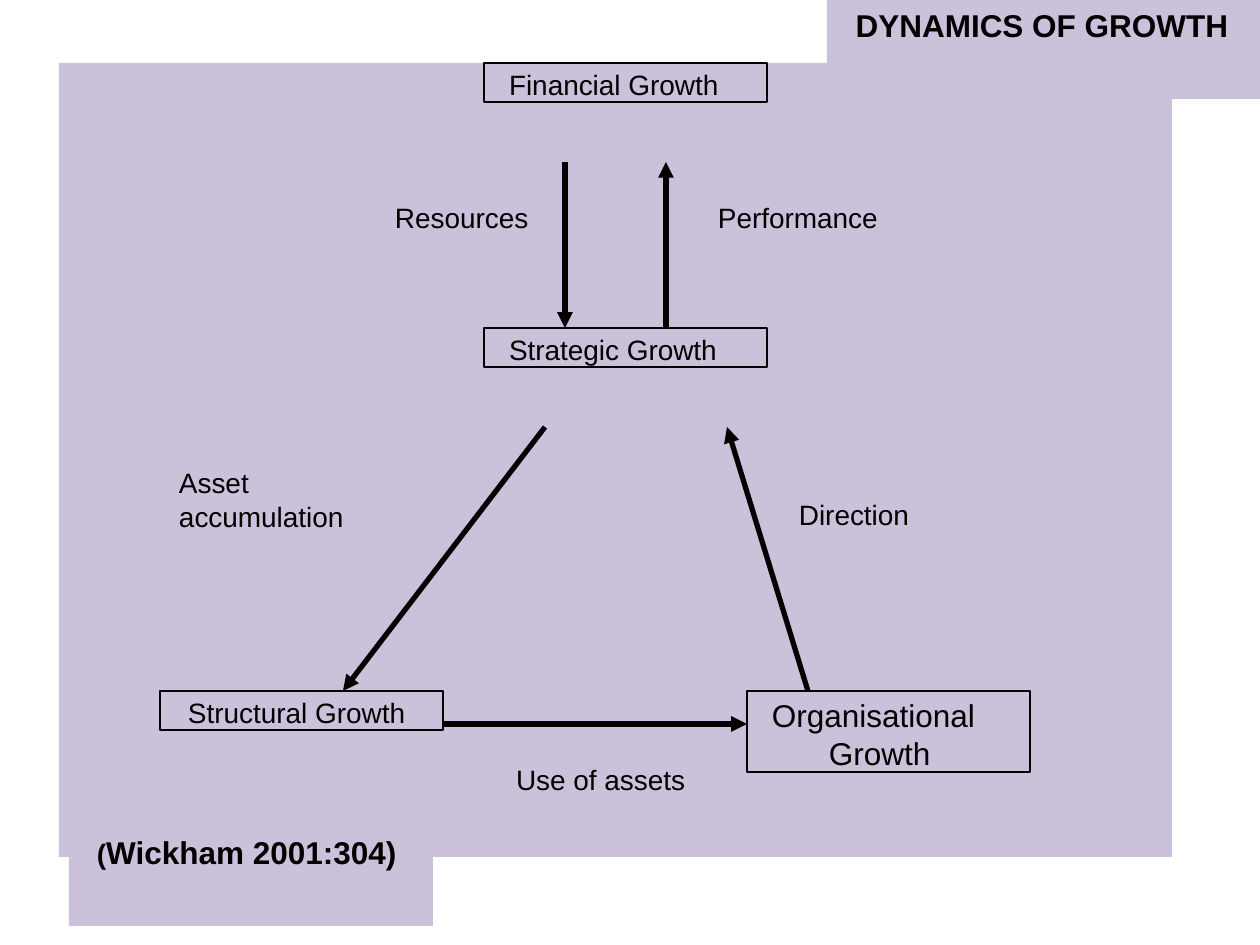
from lxml import etree
from pptx import Presentation
from pptx.dml.color import RGBColor
from pptx.enum.shapes import MSO_CONNECTOR, MSO_SHAPE
from pptx.enum.text import MSO_ANCHOR, MSO_AUTO_SIZE, PP_ALIGN
from pptx.oxml.ns import qn
from pptx.util import Pt

RECTANGLE = MSO_SHAPE.RECTANGLE
STRAIGHT = MSO_CONNECTOR.STRAIGHT
LEFT, CENTER = PP_ALIGN.LEFT, PP_ALIGN.CENTER
TOP, MIDDLE = MSO_ANCHOR.TOP, MSO_ANCHOR.MIDDLE

SCALE = 914400 // 126  # EMU per px
THEME = {
    "panel": RGBColor(0xCC, 0xC1, 0xDA),
    "ink": RGBColor(0, 0, 0),
    "font": "Arial",
    "body": Pt(16),
    "large": Pt(18),
    "border": Pt(0.75),
    "arrow": Pt(3),
}


def add_panel(shapes, area):
    panel = shapes.add_shape(RECTANGLE, *[length * SCALE for length in area])
    panel.shadow.inherit = False
    panel.fill.solid()
    panel.fill.fore_color.rgb = THEME["panel"]
    panel.line.fill.background()
    return panel


def write(box, spans, bold=False, align=LEFT, anchor=TOP, top=0, indent=(1, 0)):
    """Fill a box with one paragraph; spans are (text, size), indent is (margin, first line) in px."""
    frame = box.text_frame
    settings = {
        "word_wrap": True, "auto_size": MSO_AUTO_SIZE.NONE, "vertical_anchor": anchor,
        "margin_left": 0, "margin_right": 0, "margin_bottom": 0, "margin_top": top * SCALE,
    }
    for name, value in settings.items():
        setattr(frame, name, value)
    para = frame.paragraphs[0]
    para.alignment = align
    properties = para._p.get_or_add_pPr()
    for name, length in zip(("marL", "indent"), indent):
        properties.set(name, str(length * SCALE))
    for text, size in spans:
        span = para.add_run()
        span.text = text
        for name, value in {"name": THEME["font"], "size": size, "bold": bold}.items():
            setattr(span.font, name, value)
        span.font.color.rgb = THEME["ink"]


deck = Presentation()
deck.slide_width, deck.slide_height = 1260 * SCALE, 945 * SCALE
page = deck.slides.add_slide(deck.slide_layouts[5])
shapes = page.shapes
body, large = THEME["body"], THEME["large"]

add_panel(shapes, (59, 63, 1113, 794))

# Growth types: text, left, top, height, panel height, size, indent
growth_types = [
    ("Financial Growth", 484, 63, 39, 99, body, (25, 0)),
    ("Strategic Growth", 484, 328, 39, 99, body, (25, 0)),
    ("Structural Growth", 160, 691, 39, 99, body, (28, 0)),
    ("Organisational Growth", 747, 691, 81, 165, large, (82, -57)),
]
for text, left, top, height, panel_height, size, indent in growth_types:
    add_panel(shapes, (left, top, 283, panel_height))
    node = add_panel(shapes, (left, top, 283, height))
    node.line.color.rgb = THEME["ink"]
    node.line.width = THEME["border"]
    write(node, [(text, size)], top=5, indent=indent)

# Flows between growth types: start x, start y, end x, end y
flows = [
    (565, 162, 565, 328),
    (666, 328, 666, 162),
    (545, 427, 343, 691),
    (444, 724, 747, 724),
    (808, 691, 727, 427),
]
for ends in flows:
    arrow = shapes.add_connector(STRAIGHT, *[length * SCALE for length in ends])
    arrow.line.color.rgb = THEME["ink"]
    arrow.line.width = THEME["arrow"]
    etree.SubElement(arrow.line._get_or_add_ln(), qn("a:tailEnd"), type="triangle")
    etree.SubElement(arrow._element.spPr, qn("a:effectLst"))

# Captions: spans, bold, panel area, inset from the panel's left, text width, text height
captions = [
    ([("Performance", body)], False, (706, 195, 209, 98), 11, 164, 34),
    ([("Resources", body)], False, (383, 195, 161, 99), 11, 138, 34),
    ([("Asset accumulation", body)], False, (167, 460, 216, 165), 11, 169, 67),
    ([("Direction", body)], False, (787, 492, 162, 99), 11, 114, 34),
    ([("Use of assets", body)], False, (504, 757, 205, 99), 11, 173, 34),
    ([("(", body), ("Wickham 2001:304)", large)], True, (69, 827, 364, 99), 27, 304, 38),
]
for spans, bold, area, inset, width, height in captions:
    add_panel(shapes, area)
    place = (area[0] + inset, area[1] + 6, width, height)
    caption = shapes.add_textbox(*[length * SCALE for length in place])
    write(caption, spans, bold=bold)

add_panel(shapes, (827, 0, 433, 99))
title = shapes.title
for name, length in {"left": 853, "top": 5, "width": 377, "height": 39}.items():
    setattr(title, name, length * SCALE)
write(title, [("DYNAMICS OF GROWTH", large)], bold=True, align=CENTER, anchor=MIDDLE)
shapes.element.append(title.element)  # bring the title in front of its panel

deck.save("out.pptx")
